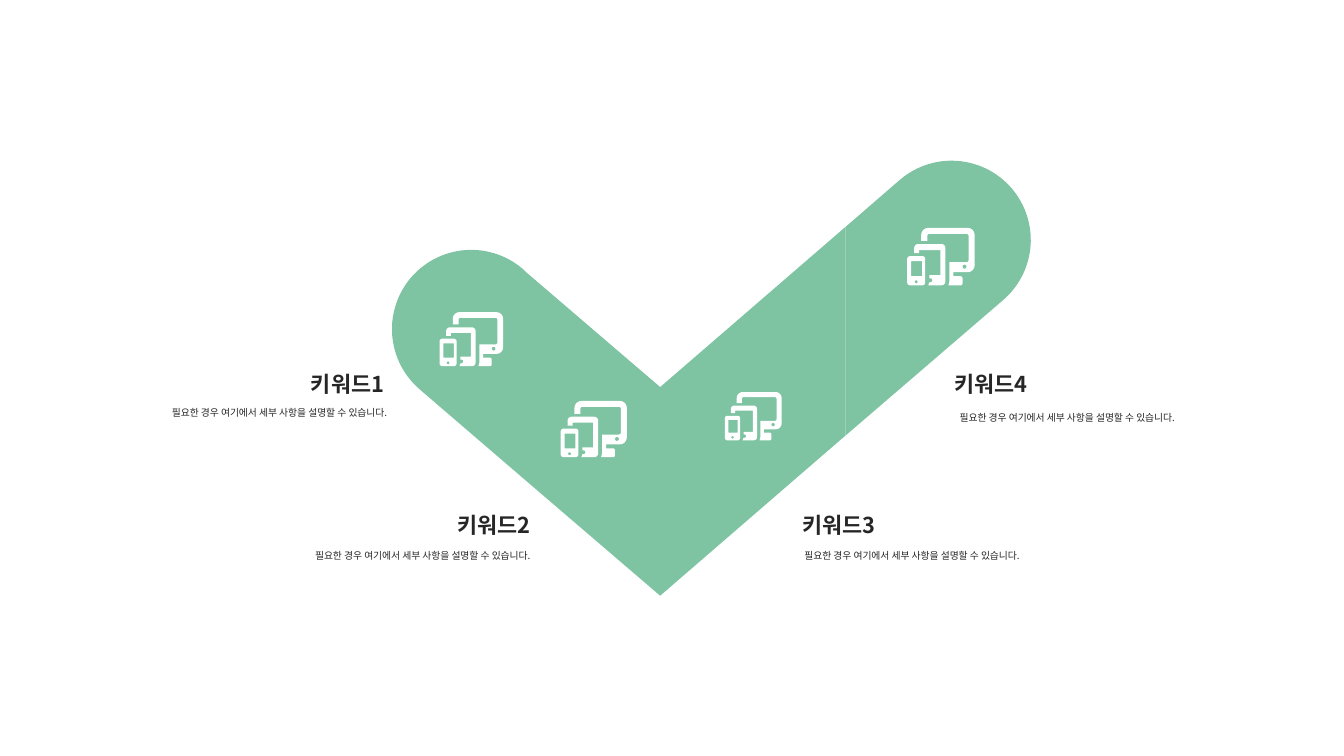
from math import cos, radians, sin

from lxml.etree import SubElement
from pptx import Presentation
from pptx.dml.color import RGBColor
from pptx.enum.text import MSO_ANCHOR, PP_ALIGN
from pptx.oxml.ns import qn
from pptx.util import Pt

FONT = "Noto Sans CJK KR"
COLORS = {"green": "7EC3A2", "white": "FFFFFF", "ink": "262626"}
DETAIL = "필요한 경우 여기에서 세부 사항을 설명할 수 있습니다."
LEFT, RIGHT = PP_ALIGN.LEFT, PP_ALIGN.RIGHT

# title, alignment, title left and top, detail left and top, icon left, top and width
KEYWORDS = [
    ("키워드1", RIGHT, (106.6, 265), (108.7, 290.2), (314, 223, 45.4)),
    ("키워드2", RIGHT, (211, 365.8), (211, 392.4), (400.5, 286.4, 47.2)),
    ("키워드3", LEFT, (567.4, 365.8), (568.8, 392.4), (517.8, 280.1, 40.5)),
    ("키워드4", LEFT, (676.1, 265), (679.7, 293.8), (648, 162.8, 48.2)),
]
TEXT_W, TITLE_H, DETAIL_H = 173.5, 18, 42.5

# check mark: joints of the arms, and the round caps at their ends
LOW_X, JOIN_L, JOIN_R = 471.6, 375.8, 604.1
TOP_L, TOP_LOW, TOP_R, DEPTH = 194.4, 276.5, 162, 149
CAP_L, CAP_R, RADIUS, TILT = (336.6, 235.1), (679.7, 171.4), 56.6, 49.2

# device icon on a grid 67 wide: corners as x, y, radius
ICON_W = 67
MONITOR = [
    (14, 0, 7), (67, 0, 7), (67, 44, 7), (46, 44, 0), (46, 48, 0), (55, 48, 2),
    (55, 57, 2), (41, 57, 0), (42, 53, 0), (42, 34, 0), (61, 34, 2), (61, 6, 2),
    (20, 6, 2), (20, 13, 0), (14, 13, 0),
]
TABLET = [
    (7, 16, 4), (38, 16, 4), (38, 57, 4), (21, 57, 0), (22, 54, 0), (25, 54, 2),
    (25, 50, 2), (22, 50, 0), (22, 47, 0), (33, 47, 0), (33, 22, 0), (12, 22, 0),
    (12, 25, 0), (7, 25, 0),
]


def box(x, y, w, h, r=0):
    return [(x, y, r), (x + w, y, r), (x + w, y + h, r), (x, y + h, r)]


ICON = [
    MONITOR, box(55, 36.5, 4, 4, 2), TABLET,
    box(0, 28, 18, 29, 3), box(4, 33, 11, 15), box(7.5, 52, 3, 3, 1.5),
]


def soften(corners, steps=6):
    """Return the outline's points, with an arc at each corner of a right angle."""
    points = []
    for i, (x, y, r) in enumerate(corners):
        if not r:
            points.append((x, y))
            continue
        (ax, ay, _), (bx, by, _) = corners[i - 1], corners[(i + 1) % len(corners)]
        a_len, b_len = abs(ax - x) + abs(ay - y), abs(bx - x) + abs(by - y)
        ux, uy = (ax - x) / a_len, (ay - y) / a_len
        vx, vy = (bx - x) / b_len, (by - y) / b_len
        for step in range(steps + 1):
            turn = radians(90 * step / steps)
            p, q = r * (1 - sin(turn)), r * (1 - cos(turn))
            points.append((x + ux * p + vx * q, y + uy * p + vy * q))
    return points


def arc(center, start, sweep, steps=60):
    turns = [radians(start + sweep * i / steps) for i in range(steps + 1)]
    return [(center[0] + RADIUS * cos(t), center[1] + RADIUS * sin(t)) for t in turns]


def draw(slide, outlines, color):
    """Draw closed outlines, given in points, as one filled shape."""
    fine = [[(x * 100, y * 100) for x, y in line] for line in outlines]
    pen = slide.shapes.build_freeform(*fine[0][0], scale=Pt(1) / 100)
    for i, line in enumerate(fine):
        if i:
            pen.move_to(*line[0])
        pen.add_line_segments(line[1:], close=True)
    shape = pen.convert_to_shape()
    shape.shadow.inherit = False
    shape.fill.solid()
    shape.fill.fore_color.rgb = RGBColor.from_string(COLORS[color])
    shape.line.fill.background()


def write(slide, text, spot, height, size, align, bold=False):
    label = slide.shapes.add_textbox(Pt(spot[0]), Pt(spot[1]), Pt(TEXT_W), Pt(height))
    frame = label.text_frame
    frame.word_wrap = True
    frame.margin_left = frame.margin_right = Pt(5.76)
    frame.margin_top = frame.margin_bottom = 0
    frame.vertical_anchor = MSO_ANCHOR.MIDDLE if bold else MSO_ANCHOR.TOP
    para = frame.paragraphs[0]
    para.alignment = align
    run = para.add_run()
    run.text = text
    run.font.size = Pt(size)
    run.font.bold = bold
    run.font.color.rgb = RGBColor.from_string(COLORS["ink"])
    run.font.name = FONT
    SubElement(run.font._element, qn("a:ea"), typeface=FONT)


def arm(x1, y1, x2, y2):
    return [(x1, y1), (x2, y2), (x2, y2 + DEPTH), (x1, y1 + DEPTH)]


def main():
    deck = Presentation()
    deck.slide_width, deck.slide_height = Pt(960), Pt(540)
    slide = deck.slides.add_slide(deck.slide_layouts[6])

    parts = [
        [(JOIN_L, TOP_L + DEPTH), (JOIN_L, TOP_L)] + arc(CAP_L, -TILT, -180),
        arm(JOIN_L, TOP_L, LOW_X, TOP_LOW),
        arm(LOW_X, TOP_LOW, JOIN_R, TOP_R),
        [(JOIN_R, TOP_R + DEPTH), (JOIN_R, TOP_R)] + arc(CAP_R, TILT - 180, 180),
    ]
    for part in parts:
        draw(slide, [part], "green")

    for title, align, head, body, (left, top, width) in KEYWORDS:
        unit = width / ICON_W
        icon = [[(left + x * unit, top + y * unit) for x, y in soften(line)] for line in ICON]
        draw(slide, icon, "white")
        write(slide, title, head, TITLE_H, 15.6, align, bold=True)
        write(slide, DETAIL, body, DETAIL_H, 7, align)

    deck.save("out.pptx")


if __name__ == "__main__":
    main()
